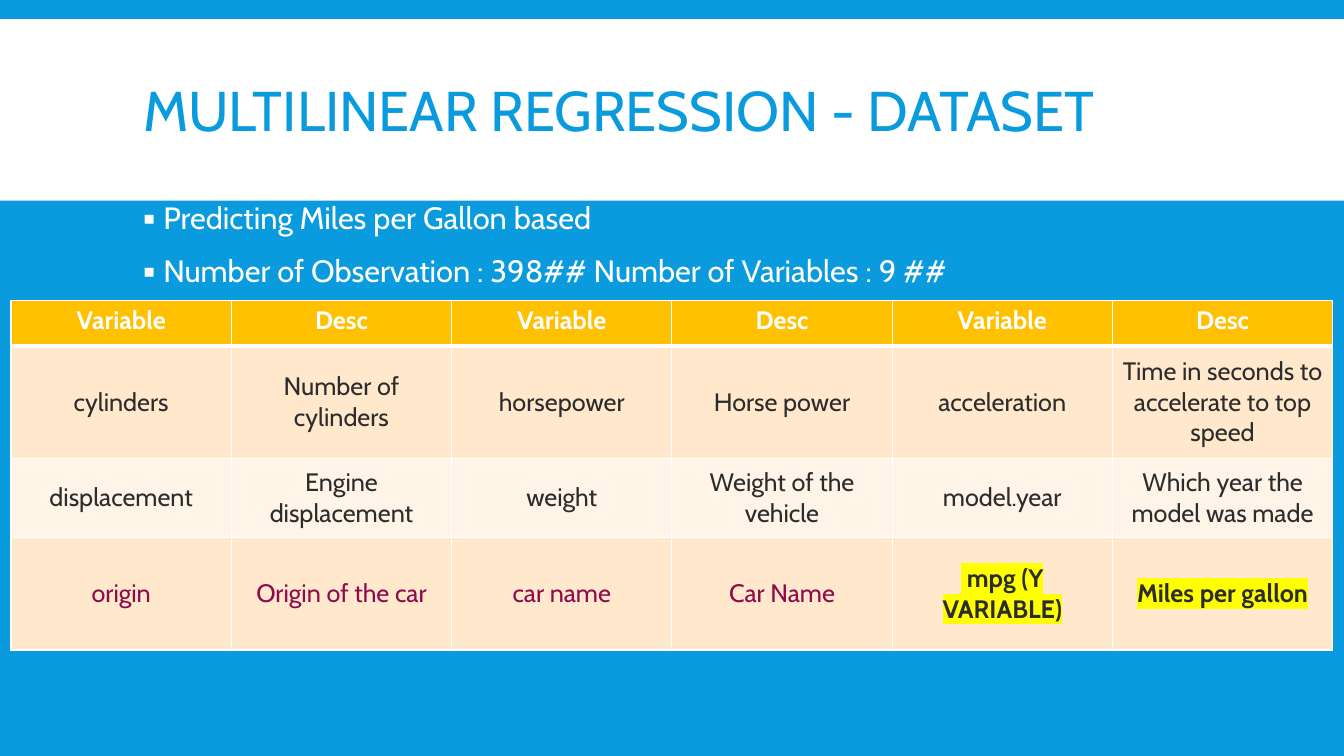
from lxml import etree
from pptx import Presentation
from pptx.dml.color import RGBColor
from pptx.enum.shapes import MSO_SHAPE
from pptx.enum.text import MSO_ANCHOR, MSO_AUTO_SIZE, PP_ALIGN
from pptx.oxml.ns import qn
from pptx.util import Inches, Pt

RECTANGLE = MSO_SHAPE.RECTANGLE
TOP, MIDDLE = MSO_ANCHOR.TOP, MSO_ANCHOR.MIDDLE
LEFT, CENTER = PP_ALIGN.LEFT, PP_ALIGN.CENTER
NO_AUTOFIT = MSO_AUTO_SIZE.NONE

BLUE = RGBColor(0x09, 0x9B, 0xDD)
WHITE = RGBColor(0xFF, 0xFF, 0xFF)
GOLD = RGBColor(0xFF, 0xC0, 0x00)
PEACH = RGBColor(0xFF, 0xE8, 0xCC)
CREAM = RGBColor(0xFF, 0xF4, 0xE7)
DARK = RGBColor(0x2C, 0x2C, 0x2C)
WINE = RGBColor(0x8F, 0x0A, 0x4D)
YELLOW = RGBColor(0xFF, 0xFF, 0x00)

TITLE = "MULTILINEAR REGRESSION - DATASET"
BULLETS = [
    "Predicting Miles per Gallon based",
    "Number of Observation : 398## Number of Variables : 9 ##",
]
VARIABLES = [
    ["Variable", "Desc"] * 3,
    ["cylinders", "Number of cylinders", "horsepower", "Horse power",
     "acceleration", "Time in seconds to accelerate to top speed"],
    ["displacement", "Engine displacement", "weight", "Weight of the vehicle",
     "model.year", "Which year the model was made"],
    ["origin", "Origin of the car", "car name", "Car Name",
     " mpg (Y VARIABLE)", "Miles per gallon"],
]
ROW_HEIGHTS = [0.45, 1.12, 0.78, 1.12]
ROW_FILLS = [GOLD, PEACH, CREAM, PEACH]
ROW_COLORS = [WHITE, DARK, DARK, WINE]
TARGET_COLUMNS = (4, 5)


class DatasetSlide:
    """Holds the slide style and adds each kind of element."""

    def __init__(self, deck, font):
        self.font = font
        self.page = deck.slides.add_slide(deck.slide_layouts[1])
        background = self.page.background.fill
        background.solid()
        background.fore_color.rgb = BLUE

    def place(self, shape, left, top, width, height):
        shape.left, shape.top = Inches(left), Inches(top)
        shape.width, shape.height = Inches(width), Inches(height)

    def add_span(self, para, text, size, color, bold=False, highlight=None):
        span = para.add_run()
        span.text = text
        span.font.name = self.font
        span.font.size = Pt(size)
        span.font.bold = bold
        span.font.color.rgb = color
        if highlight is not None:
            mark = etree.Element(qn("a:highlight"))
            etree.SubElement(mark, qn("a:srgbClr"), val=str(highlight))
            span.font.fill
            span.font._element.find(qn("a:solidFill")).addnext(mark)

    def add_band(self, left, top, width, height, color):
        band = self.page.shapes.add_shape(
            RECTANGLE, Inches(left), Inches(top), Inches(width), Inches(height))
        band.shadow.inherit = False
        band.fill.solid()
        band.fill.fore_color.rgb = color
        band.line.fill.background()
        band.element.getparent().insert(2, band.element)

    def set_title(self, text):
        box = self.page.shapes.title
        self.place(box, 1.32, 0.31, 10.7, 1.65)
        box.text_frame.auto_size = NO_AUTOFIT
        box.text_frame.vertical_anchor = MIDDLE
        para = box.text_frame.paragraphs[0]
        para.alignment = LEFT
        para.line_spacing = 0.85
        self.add_span(para, text, 40, BLUE)

    def set_bullets(self, lines):
        box = self.page.placeholders[1]
        self.place(box, 1.32, 1.96, 10.7, 4.6)
        frame = box.text_frame
        frame.auto_size = NO_AUTOFIT
        frame.vertical_anchor = TOP
        for index, line in enumerate(lines):
            para = frame.add_paragraph() if index else frame.paragraphs[0]
            para.line_spacing = 0.9
            para.space_before, para.space_after = Pt(12), Pt(2)
            properties = para._p.get_or_add_pPr()
            properties.set("marL", str(Inches(0.2)))
            properties.set("indent", str(-Inches(0.2)))
            color = etree.SubElement(properties, qn("a:buClr"))
            etree.SubElement(color, qn("a:srgbClr"), val=str(WHITE))
            etree.SubElement(properties, qn("a:buFont"), typeface=self.font)
            etree.SubElement(properties, qn("a:buChar"), char="▪")
            self.add_span(para, line, 22, WHITE)

    def set_borders(self, cell, top, bottom):
        properties = cell._tc.get_or_add_tcPr()
        widths = {"a:lnL": 1, "a:lnR": 1, "a:lnT": top, "a:lnB": bottom}
        for index, (side, width) in enumerate(widths.items()):
            line = etree.Element(qn(side), w=str(Pt(width)))
            fill = etree.SubElement(line, qn("a:solidFill"))
            etree.SubElement(fill, qn("a:srgbClr"), val=str(WHITE))
            properties.insert(index, line)

    def add_variables(self, rows, left, top, width):
        columns = len(rows[0])
        table = self.page.shapes.add_table(
            len(rows), columns, Inches(left), Inches(top),
            Inches(width), Inches(sum(ROW_HEIGHTS))).table
        for column in table.columns:
            column.width = Inches(width / columns)
        for r, texts in enumerate(rows):
            table.rows[r].height = Inches(ROW_HEIGHTS[r])
            for c, text in enumerate(texts):
                cell = table.cell(r, c)
                cell.fill.solid()
                cell.fill.fore_color.rgb = ROW_FILLS[r]
                cell.vertical_anchor = MIDDLE if r else TOP
                self.set_borders(cell, 3 if r == 1 else 1, 1 if r else 3)
                target = r == len(rows) - 1 and c in TARGET_COLUMNS
                para = cell.text_frame.paragraphs[0]
                para.alignment = CENTER
                self.add_span(para, text, 18, DARK if target else ROW_COLORS[r],
                              bold=target or r == 0,
                              highlight=YELLOW if target else None)


def main():
    deck = Presentation()
    deck.slide_width, deck.slide_height = Inches(13.33), Inches(7.5)
    slide = DatasetSlide(deck, "Cabin")
    slide.add_band(0, 0.19, 13.33, 1.8, WHITE)
    slide.set_title(TITLE)
    slide.set_bullets(BULLETS)
    slide.add_variables(VARIABLES, 0.11, 2.98, 13.11)
    deck.save("out.pptx")


if __name__ == "__main__":
    main()
